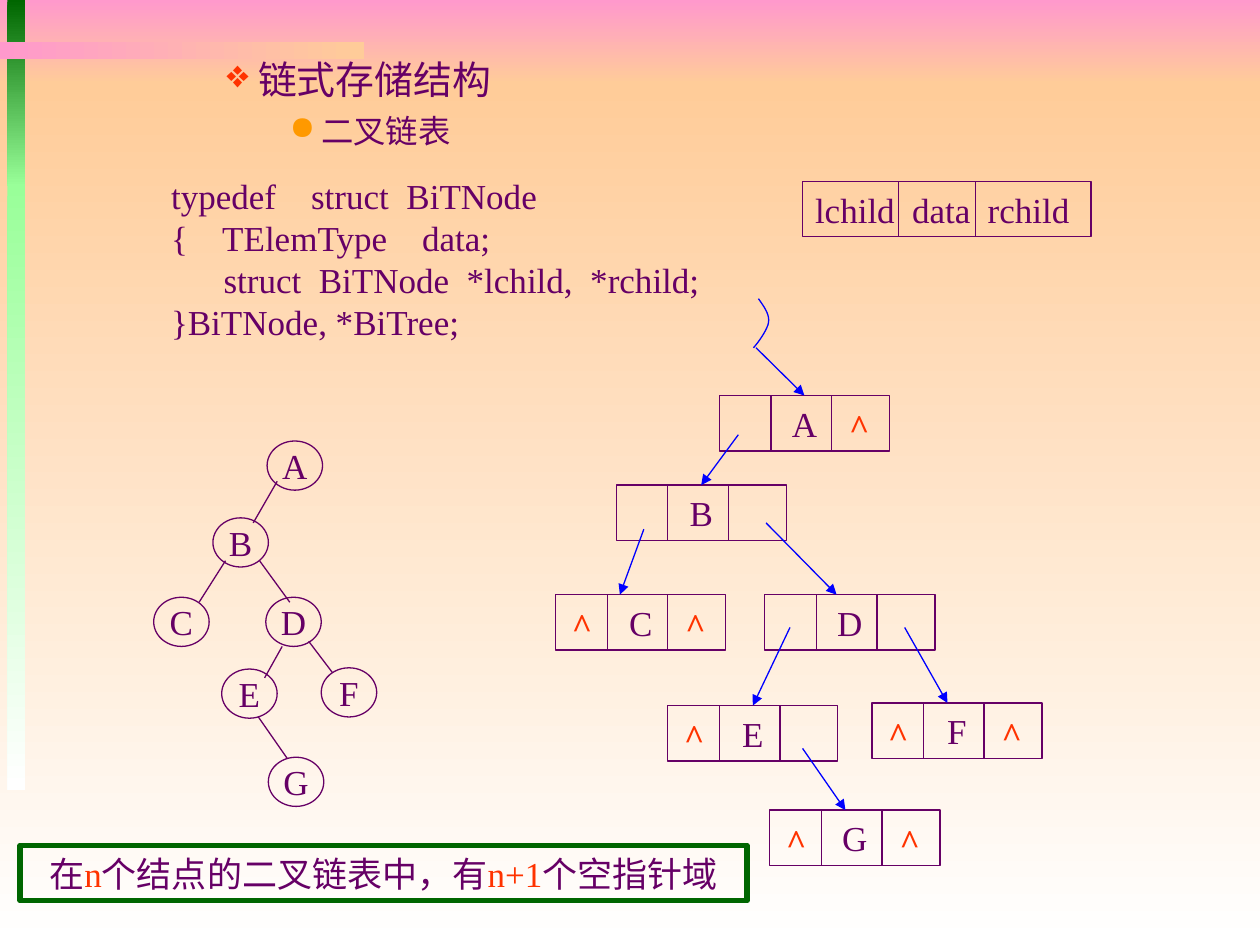
"""Build the slide on the linked storage structure of a binary tree."""
from lxml import etree
from pptx import Presentation
from pptx.dml.color import RGBColor
from pptx.enum.shapes import MSO_CONNECTOR as CONN, MSO_SHAPE as SHAPE
from pptx.enum.text import MSO_ANCHOR as ANCHOR, PP_ALIGN as ALIGN
from pptx.oxml.ns import qn
from pptx.util import Inches, Pt

PURPLE = RGBColor(0x66, 0x00, 0x66)
RED = RGBColor(0xFF, 0x33, 0x00)
BLUE = RGBColor(0x00, 0x00, 0xFF)
ORANGE = RGBColor(0xFF, 0x99, 0x00)
PINK = RGBColor(0xFF, 0x99, 0xCC)
PEACH = RGBColor(0xFF, 0xCC, 0x99)
WHITE = RGBColor(0xFF, 0xFF, 0xFF)
GREEN = RGBColor(0x00, 0x66, 0x00)
LIME = RGBColor(0x99, 0xFF, 0x99)
SERIF = "Times New Roman"

prs = Presentation()
prs.slide_width, prs.slide_height = Inches(10), Inches(7.5)
s = prs.slides.add_slide(prs.slide_layouts[6])
COL = prs.slide_width // 100
ROW = prs.slide_height // 75


def box(kind, x, y, w, h, lines=(), align=ALIGN.CENTER, color=PURPLE,
        width=0.75, size=20, font=SERIF, bold=False):
    """Add a shape, or a text box when kind is None, with lines of (text, colour) runs."""
    area = [int(v) for v in (x * COL, y * ROW, w * COL, h * ROW)]
    if kind is None:
        sp = s.shapes.add_textbox(*area)
    else:
        sp = s.shapes.add_shape(kind, *area)
        sp.shadow.inherit = False
        sp.fill.background()
        sp.line.color.rgb = color
        sp.line.width = Pt(width)
    tf = sp.text_frame
    for name, value in {"word_wrap": False, "vertical_anchor": ANCHOR.MIDDLE}.items():
        setattr(tf, name, value)
    for i, line in enumerate(lines):
        p = tf.paragraphs[0] if i == 0 else tf.add_paragraph()
        p.alignment = align
        for text, ink in line:
            r = p.add_run()
            r.text = text
            r.font.color.rgb = ink
            for name, value in {"size": Pt(size), "name": font, "bold": bold}.items():
                setattr(r.font, name, value)
    return sp


def link(x1, y1, x2, y2, color=PURPLE, arrow=False):
    """Add a thin straight connector between two grid points."""
    c = s.shapes.add_connector(CONN.STRAIGHT, int(x1 * COL), int(y1 * ROW),
                               int(x2 * COL), int(y2 * ROW))
    c.line.color.rgb = color
    c.line.width = Pt(0.75)
    if arrow:
        etree.SubElement(c.line._get_or_add_ln(), qn("a:tailEnd"), type="triangle")
    etree.SubElement(c._element.spPr, qn("a:effectLst"))
    return c


for x, y, w, h, start, end, angle in [
    (0, 0, 100, 6.7, PINK, PEACH, 270),
    (0, 6.7, 100, 68.3, PEACH, WHITE, 270),
    (0.6, 0, 1.4, 14.8, GREEN, LIME, 270),
    (0.6, 14.6, 1.4, 48.1, LIME, WHITE, 270),
    (0, 3.3, 28.9, 1.4, PINK, PEACH, 0),
]:
    band = box(SHAPE.RECTANGLE, x, y, w, h)
    band.line.fill.background()
    band.fill.gradient()
    band.fill.gradient_angle = angle
    for stop, ink in zip(band.fill.gradient_stops, (start, end)):
        stop.color.rgb = ink

heading = box(None, 7, 3.9, 93, 8.6, [[("链式存储结构", PURPLE)], [("二叉链表", PURPLE)]],
              ALIGN.LEFT, font="Arial")
heading.text_frame.vertical_anchor = ANCHOR.TOP
for p, mark, ink, margin, size, before in zip(
        heading.text_frame.paragraphs, "❖●", (RED, ORANGE), (1.25, 1.75), (22.2, 18.5), (0, 5)):
    p.space_before = Pt(before)
    p.runs[0].font.size = Pt(size)
    pPr = p._p.get_or_add_pPr()
    pPr.set("marL", str(Inches(margin)))
    pPr.set("indent", str(-Inches(0.25)))
    etree.SubElement(etree.SubElement(pPr, qn("a:buClr")), qn("a:srgbClr"), val=str(ink))
    etree.SubElement(pPr, qn("a:buChar"), char=mark)

code = """typedef    struct  BiTNode
{    TElemType    data;
      struct  BiTNode  *lchild,  *rchild;
}BiTNode, *BiTree;"""
listing = box(None, 12.6, 13.3, 44, 14.4, [[(t, PURPLE)] for t in code.split("\n")], ALIGN.LEFT)
for p in listing.text_frame.paragraphs:
    p.line_spacing = Pt(24)

record = box(SHAPE.RECTANGLE, 63.7, 14.4, 22.9, 4.4, [[("lchild\tdata\trchild", PURPLE)]], ALIGN.LEFT)
tabs = etree.SubElement(record.text_frame.paragraphs[0]._p.get_or_add_pPr(), qn("a:tabLst"))
for stop in (0.77, 1.37):
    etree.SubElement(tabs, qn("a:tab"), pos=str(Inches(stop)), algn="l")
for x in (71.3, 77.4):
    link(x, 14.4, x, 18.8)

for name, x, y in [("A", 21.2, 35), ("B", 16.9, 41.1), ("C", 12.2, 47.4), ("D", 21.1, 47.4),
                   ("E", 17.6, 53.1), ("F", 25.5, 53), ("G", 21.3, 60.1)]:
    box(SHAPE.OVAL, x, y, 4.4, 3.9, [[(name, PURPLE)]])
for edge in [(22, 38.2, 20.1, 41.5), (17.9, 44.5, 15.8, 47.8), (20.6, 44.5, 23, 47.8),
             (22.4, 51.3, 21, 53.8), (24.5, 50.9, 26.4, 53.4), (20.5, 56.9, 22.8, 60.2)]:
    link(*edge)

box(SHAPE.RECTANGLE, 1.6, 67.1, 57.7, 4.4,
    [[("在", PURPLE), ("n", RED), ("个结点的二叉链表中，有", PURPLE),
      ("n+1", RED), ("个空指针域", PURPLE)]], color=GREEN, width=3)

LEFT_CELL, RIGHT_CELL = 0.3, 9.3
nodes = {}
for name, x, y, nulls in [
    ("A", 57.1, 31.4, [RIGHT_CELL]), ("B", 48.9, 38.5, []),
    ("C", 44.1, 47.2, [LEFT_CELL, RIGHT_CELL]), ("D", 60.7, 47.2, []),
    ("E", 53, 56, [LEFT_CELL]), ("F", 69.2, 55.8, [LEFT_CELL, RIGHT_CELL]),
    ("G", 61.1, 64.3, [LEFT_CELL, RIGHT_CELL]),
]:
    nodes[name] = box(SHAPE.RECTANGLE, x, y, 13.5, 4.4, [[(name, PURPLE)]])
    for divider in (4.1, 8.9):
        link(x + divider, y, x + divider, y + 4.4)
    for cell in nulls:
        box(None, x + cell, y + 0.2, 3.6, 4.4, [[("^", RED)]], bold=True)

for x1, y1, x2, y2, target in [
    (60, 27.6, 63.5, 31.4, "A"), (58.6, 34.5, 56.1, 38.5, "B"),
    (51.1, 42, 49.2, 47.2, None), (60.8, 41.5, 66.4, 47.2, None),
    (62.7, 49.8, 59.6, 56, "E"), (71.8, 49.8, 75.2, 55.8, None),
    (63.7, 59.4, 67.1, 64.3, None),
]:
    pointer = link(x1, y1, x2, y2, BLUE, arrow=True)
    if target:
        pointer.end_connect(nodes[target], 0)

curve = []
for p0, p1, p2, p3 in [((60.2, 23.7), (60.6, 24.3), (61.1, 24.9), (61, 25.6)),
                       ((61, 25.6), (60.9, 26.2), (60.1, 27.3), (59.8, 27.6))]:
    for t in (i / 10 for i in range(11)):
        weights = ((1 - t) ** 3, 3 * t * (1 - t) ** 2, 3 * t * t * (1 - t), t ** 3)
        x, y = (sum(w * v for w, v in zip(weights, axis)) for axis in zip(p0, p1, p2, p3))
        curve.append((int(x * COL), int(y * ROW)))
builder = s.shapes.build_freeform(*curve[0])
builder.add_line_segments(curve[1:], close=False)
root = builder.convert_to_shape()
root.shadow.inherit = False
root.fill.background()
root.line.color.rgb = BLUE
root.line.width = Pt(0.75)

prs.save("out.pptx")
